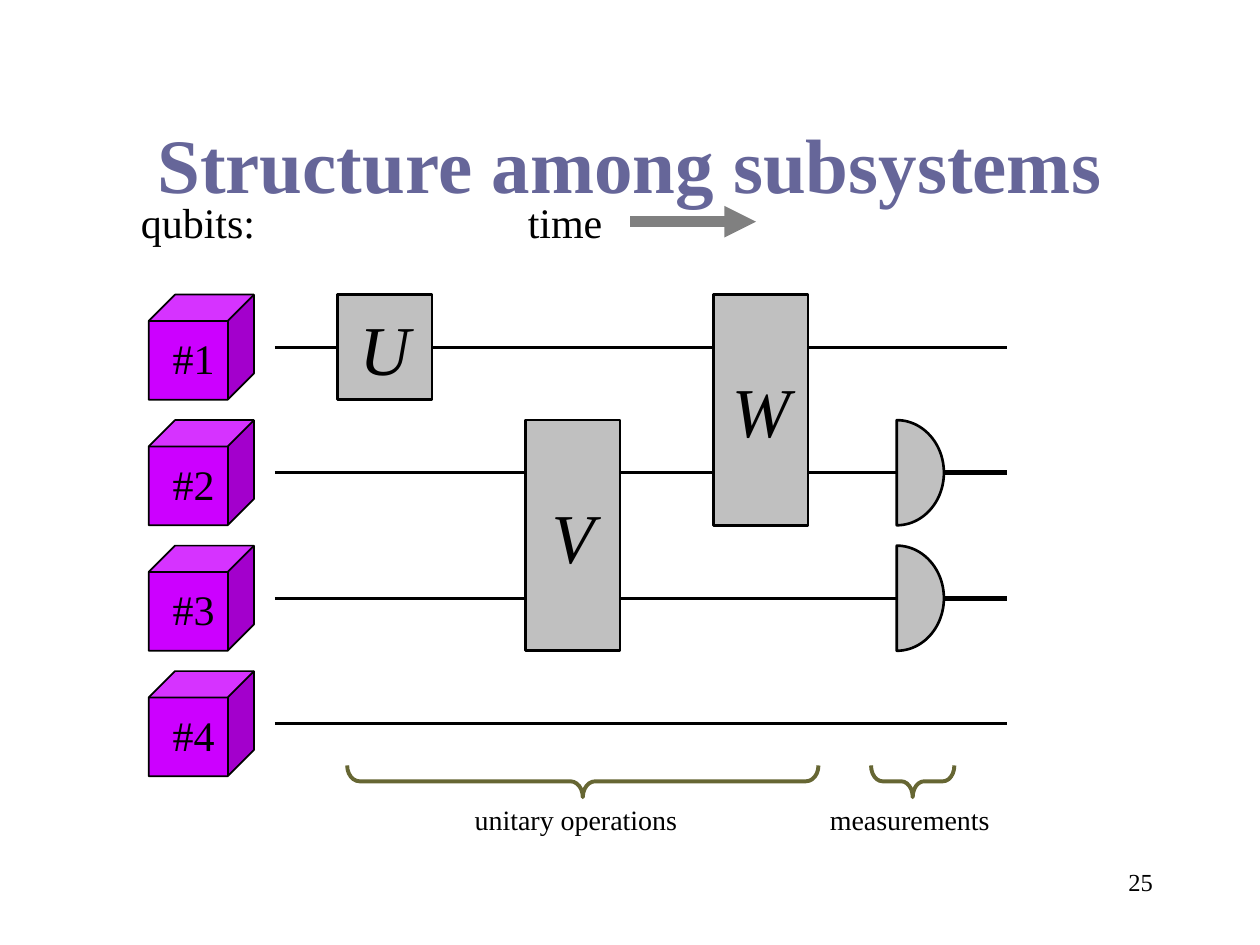
from lxml import etree
from pptx import Presentation
from pptx.dml.color import RGBColor
from pptx.enum.shapes import MSO_CONNECTOR, MSO_SHAPE
from pptx.enum.text import MSO_ANCHOR, PP_ALIGN
from pptx.oxml.ns import qn
from pptx.util import Cm, Pt

RECTANGLE, CUBE = MSO_SHAPE.RECTANGLE, MSO_SHAPE.CUBE
CHORD, LEFT_BRACE = MSO_SHAPE.CHORD, MSO_SHAPE.LEFT_BRACE
STRAIGHT = MSO_CONNECTOR.STRAIGHT
TOP, MIDDLE = MSO_ANCHOR.TOP, MSO_ANCHOR.MIDDLE
LEFT, CENTER, RIGHT = PP_ALIGN.LEFT, PP_ALIGN.CENTER, PP_ALIGN.RIGHT

FONT = "Times New Roman"
BLACK, GREY, DARK_GREY = "000000", "C0C0C0", "808080"
PURPLE, OLIVE, SLATE = "CC00FF", "666633", "666699"
QUBITS = 4
ROW_PITCH = 2.53
ROW_HEIGHT = 2.12


def colour(hex_code):
    return RGBColor.from_string(hex_code)


def write(frame, text, size=24, color=BLACK, bold=False, italic=False,
          align=LEFT, anchor=TOP, wrap=False):
    frame.word_wrap = wrap
    frame.vertical_anchor = anchor
    paragraph = frame.paragraphs[0]
    paragraph.alignment = align
    run = paragraph.add_run()
    run.text = text
    run.font.name = FONT
    run.font.size = Pt(size)
    run.font.bold = bold
    run.font.italic = italic
    run.font.color.rgb = colour(color)


def add_label(slide, text, left, top, width, height, **style):
    label = slide.shapes.add_textbox(Cm(left), Cm(top), Cm(width), Cm(height))
    write(label.text_frame, text, **style)


def add_outlined(slide, kind, left, top, width, height, fill=None,
                 line=BLACK, weight=1.5):
    outlined = slide.shapes.add_shape(kind, Cm(left), Cm(top), Cm(width), Cm(height))
    outlined.shadow.inherit = False
    if fill:
        outlined.fill.solid()
        outlined.fill.fore_color.rgb = colour(fill)
    else:
        outlined.fill.background()
    outlined.line.color.rgb = colour(line)
    outlined.line.width = Pt(weight)
    return outlined


def add_wire(slide, start, end, y, color=BLACK, weight=1.5, arrow=False):
    wire = slide.shapes.add_connector(STRAIGHT, Cm(start), Cm(y), Cm(end), Cm(y))
    wire.line.color.rgb = colour(color)
    wire.line.width = Pt(weight)
    if arrow:
        etree.SubElement(wire.line._get_or_add_ln(), qn("a:tailEnd"), type="triangle")
    etree.SubElement(wire._element.spPr, qn("a:effectLst"))


def add_qubits(slide, left, top):
    add_label(slide, "qubits:", left - 0.41, top - 2.1, 3, 1.27)
    for row in range(QUBITS):
        y = top + row * ROW_PITCH
        cube = add_outlined(slide, CUBE, left, y, ROW_HEIGHT, ROW_HEIGHT,
                            fill=PURPLE, weight=1)
        cube.adjustments[0] = 0.25
        add_label(slide, f"#{row + 1}", left + 0.23, y + 0.64, 1.45, 1.27)


def add_detector(slide, flat_side, top, width):
    half_disc = add_outlined(slide, CHORD, flat_side - width / 2, top, width,
                             ROW_HEIGHT, fill=GREY)
    half_disc.adjustments[0] = 162
    half_disc.adjustments[1] = 54


def add_circuit(slide, left, top, width):
    gate_width = 1.9
    right = left + width
    flat_side = right - 2.21
    measured_rows = (1, 2)
    for row in range(QUBITS):
        y = top + ROW_HEIGHT / 2 + row * ROW_PITCH
        measured = row in measured_rows
        add_wire(slide, left, flat_side if measured else right, y)
        if measured:
            add_wire(slide, flat_side + gate_width / 2, right, y, weight=3)
            add_detector(slide, flat_side, top + row * ROW_PITCH, gate_width)
    gates = (("U", 0, 1), ("V", 1, 2), ("W", 0, 2))
    for column, (name, row, span) in enumerate(gates):
        gate = add_outlined(slide, RECTANGLE, left + 1.27 + column * 3.79,
                            top + row * ROW_PITCH, gate_width,
                            ROW_HEIGHT + (span - 1) * ROW_PITCH, fill=GREY)
        write(gate.text_frame, name, size=40, italic=True, align=CENTER, anchor=MIDDLE)


def add_time_arrow(slide, left, top):
    add_label(slide, "time", left, top, 2.11, 1.27)
    add_wire(slide, left + 2.31, left + 4.85, top + 0.63,
             color=DARK_GREY, weight=6, arrow=True)


def add_stage(slide, text, left, top, width, label_left, label_width, bend):
    depth = 0.64
    brace = add_outlined(slide, LEFT_BRACE, left + (width - depth) / 2,
                         top + (depth - width) / 2, depth, width,
                         line=OLIVE, weight=2.25)
    brace.rotation = 270
    brace.adjustments[0] = bend
    brace.adjustments[1] = 0.5
    add_label(slide, text, label_left, top + 0.62, label_width, 0.94, size=16)


def build():
    deck = Presentation()
    deck.slide_width, deck.slide_height = Cm(25.4), Cm(19.05)
    slide = deck.slides.add_slide(deck.slide_layouts[6])
    add_label(slide, "25", 18.21, 17.35, 5.28, 1.27, size=14, align=RIGHT, wrap=True)
    add_label(slide, "Structure among subsystems", 1.9, 1.7, 21.59, 3.18, size=44,
              color=SLATE, bold=True, align=CENTER, anchor=MIDDLE, wrap=True)
    add_circuit(slide, left=5.54, top=5.94, width=14.75)
    add_qubits(slide, left=3, top=5.94)
    add_time_arrow(slide, left=10.39, top=3.84)
    add_stage(slide, "unitary operations", left=7, top=15.43, width=9.5,
              label_left=9.32, label_width=5, bend=0.39)
    add_stage(slide, "measurements", left=17.56, top=15.43, width=1.68,
              label_left=16.48, label_width=4.24, bend=0.36)
    deck.save("out.pptx")


if __name__ == "__main__":
    build()
